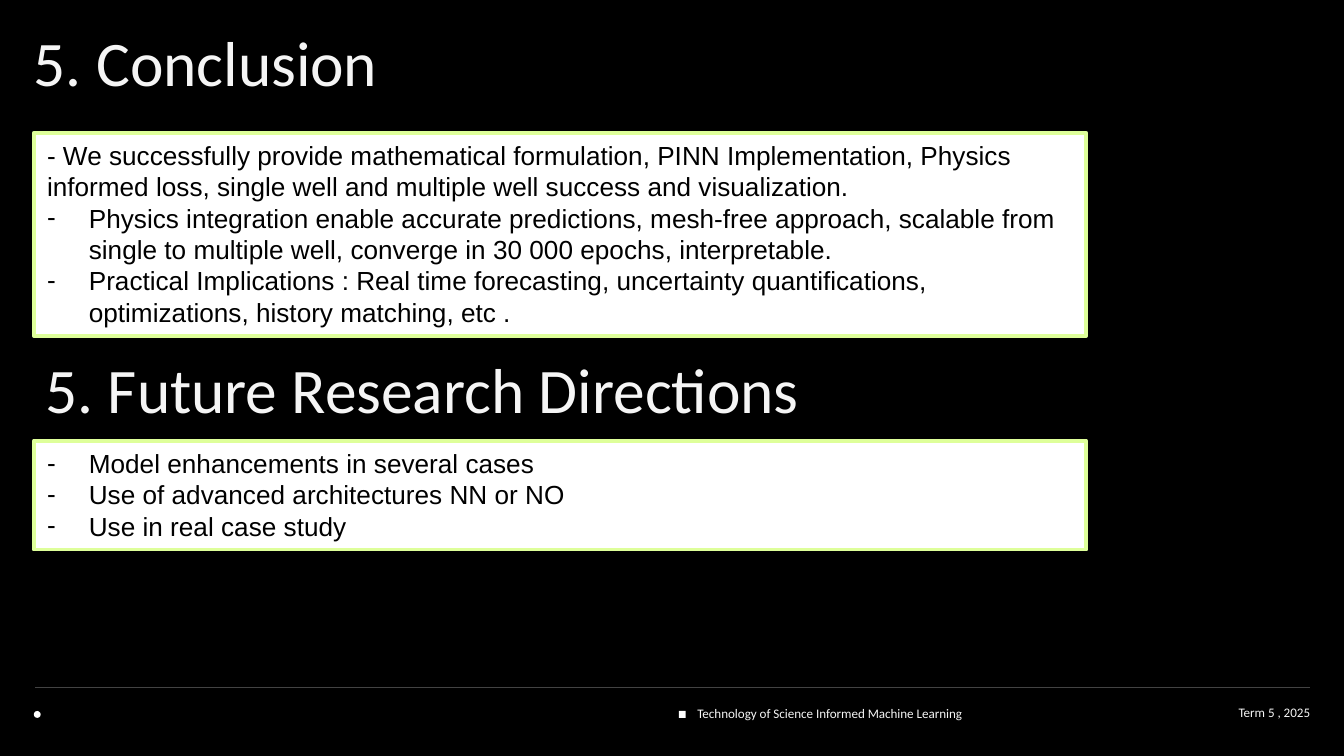
from pptx import Presentation
from pptx.dml.color import RGBColor
from pptx.enum.shapes import MSO_CONNECTOR, MSO_SHAPE
from pptx.enum.text import MSO_ANCHOR, PP_ALIGN
from pptx.oxml.ns import qn
from pptx.util import Cm, Pt
from lxml.etree import SubElement

COLORS = {
    "night": "000000",
    "paper": "FFFFFF",
    "heading": "F5F5F5",
    "lime": "DEFF9A",
    "rule": "434343",
}
HEADING = {"name": "Calibri", "size": Pt(34), "color": "heading"}
FOOTER = {"name": "Calibri", "size": Pt(7), "color": "heading"}
BODY = {"name": "Arial", "size": Pt(14), "color": "night"}
LEFT = 0.64
PANEL_WIDTH = 19.89
DASH_INDENT = 0.79


class ConclusionSlide:
    def __init__(self, deck):
        self.slide = deck.slides.add_slide(deck.slide_layouts[6])
        self.paint(self.slide.background.fill, "night")

    def paint(self, fill, color):
        fill.solid()
        fill.fore_color.rgb = RGBColor.from_string(COLORS[color])

    def style(self, target, formats):
        for attribute, value in formats.items():
            if attribute == "color":
                target.color.rgb = RGBColor.from_string(COLORS[value])
            else:
                setattr(target, attribute, value)

    def rule(self, left, right, top):
        divider = self.slide.shapes.add_connector(
            MSO_CONNECTOR.STRAIGHT, Cm(left), Cm(top), Cm(right), Cm(top))
        self.style(divider.line, {"color": "rule", "width": Pt(0.75)})
        SubElement(divider._element.spPr, qn("a:effectLst"))

    def block(self, kind, left, top, width, height):
        block = self.slide.shapes.add_shape(
            kind, Cm(left), Cm(top), Cm(width), Cm(height))
        block.shadow.inherit = False
        self.paint(block.fill, "paper")
        return block

    def marker(self, kind, left):
        self.block(kind, left, 13.44, 0.13, 0.13).line.fill.background()

    def dash(self, paragraph):
        properties = paragraph._p.get_or_add_pPr()
        indent = Cm(DASH_INDENT)
        properties.set("marL", str(indent))
        properties.set("indent", str(-indent))
        tint = SubElement(properties, qn("a:buClr"))
        SubElement(tint, qn("a:srgbClr"), val=COLORS["night"])
        SubElement(properties, qn("a:buFont"), typeface="Arial")
        SubElement(properties, qn("a:buChar"), char="-")

    def panel(self, top, height, points, intro=None):
        panel = self.block(MSO_SHAPE.RECTANGLE, LEFT, top, PANEL_WIDTH, height)
        self.style(panel.line, {"color": "lime", "width": Pt(2)})
        frame = panel.text_frame
        self.style(frame, {"word_wrap": True, "vertical_anchor": MSO_ANCHOR.TOP})
        statements = [intro, *points] if intro else points
        for index, statement in enumerate(statements):
            paragraph = frame.add_paragraph() if index else frame.paragraphs[0]
            paragraph.text = statement
            paragraph.alignment = PP_ALIGN.LEFT
            if statement != intro:
                self.dash(paragraph)
            self.style(paragraph.runs[0].font, BODY)

    def text(self, content, area, font, spacing, align=PP_ALIGN.LEFT):
        box = self.slide.shapes.add_textbox(*map(Cm, area))
        frame = box.text_frame
        self.style(frame, {"word_wrap": True, "margin_left": 0, "margin_top": 0,
                           "margin_right": 0, "margin_bottom": 0})
        paragraph = frame.paragraphs[0]
        paragraph.text = content
        self.style(paragraph, {"line_spacing": spacing, "alignment": align})
        self.style(paragraph.runs[0].font, font)

    def heading(self, content, left, top, width):
        self.text(content, (left, top, width, 1.5), HEADING, 0.85)

    def footer(self, content, left, top, width, align=PP_ALIGN.LEFT):
        self.text(content, (left, top, width, 0.65), FOOTER, 1.15, align)


def main():
    deck = Presentation()
    deck.slide_width, deck.slide_height = Cm(25.4), Cm(14.29)
    page = ConclusionSlide(deck)

    page.rule(0.66, 24.76, 13)
    page.marker(MSO_SHAPE.OVAL, LEFT)
    page.marker(MSO_SHAPE.RECTANGLE, 12.83)
    page.footer("Technology of Science Informed Machine Learning", 13.18, 13.3, 6.38)
    page.footer("Term 5 , 2025", 19.05, 13.28, 5.71, PP_ALIGN.RIGHT)

    page.heading("5. Conclusion", LEFT, 0.66, 10.85)
    page.panel(2.51, 3.84, [
        "Physics integration enable accurate predictions, mesh-free approach, "
        "scalable from single to multiple well, converge in 30 000 epochs, interpretable.",
        "Practical Implications : Real time forecasting, uncertainty quantifications, "
        "optimizations, history matching, etc .",
    ], intro="- We successfully provide mathematical formulation, PINN Implementation, "
             "Physics informed loss, single well and multiple well success and visualization.")

    page.heading("5. Future Research Directions", 0.86, 6.83, 17.78)
    page.panel(8.33, 2.06, [
        "Model enhancements in several cases",
        "Use of advanced architectures NN or NO",
        "Use in real case study",
    ])
    deck.save("out.pptx")


if __name__ == "__main__":
    main()
